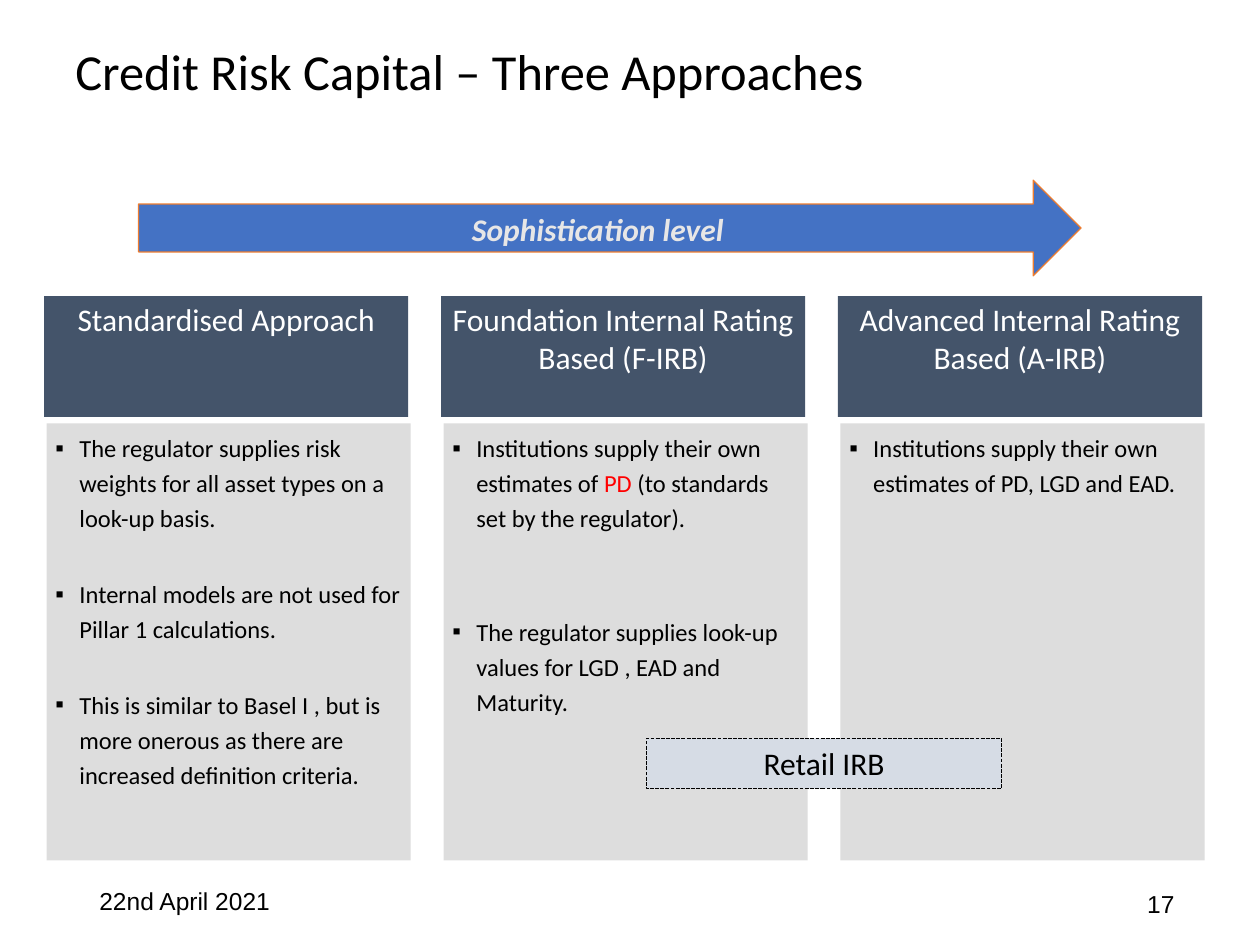
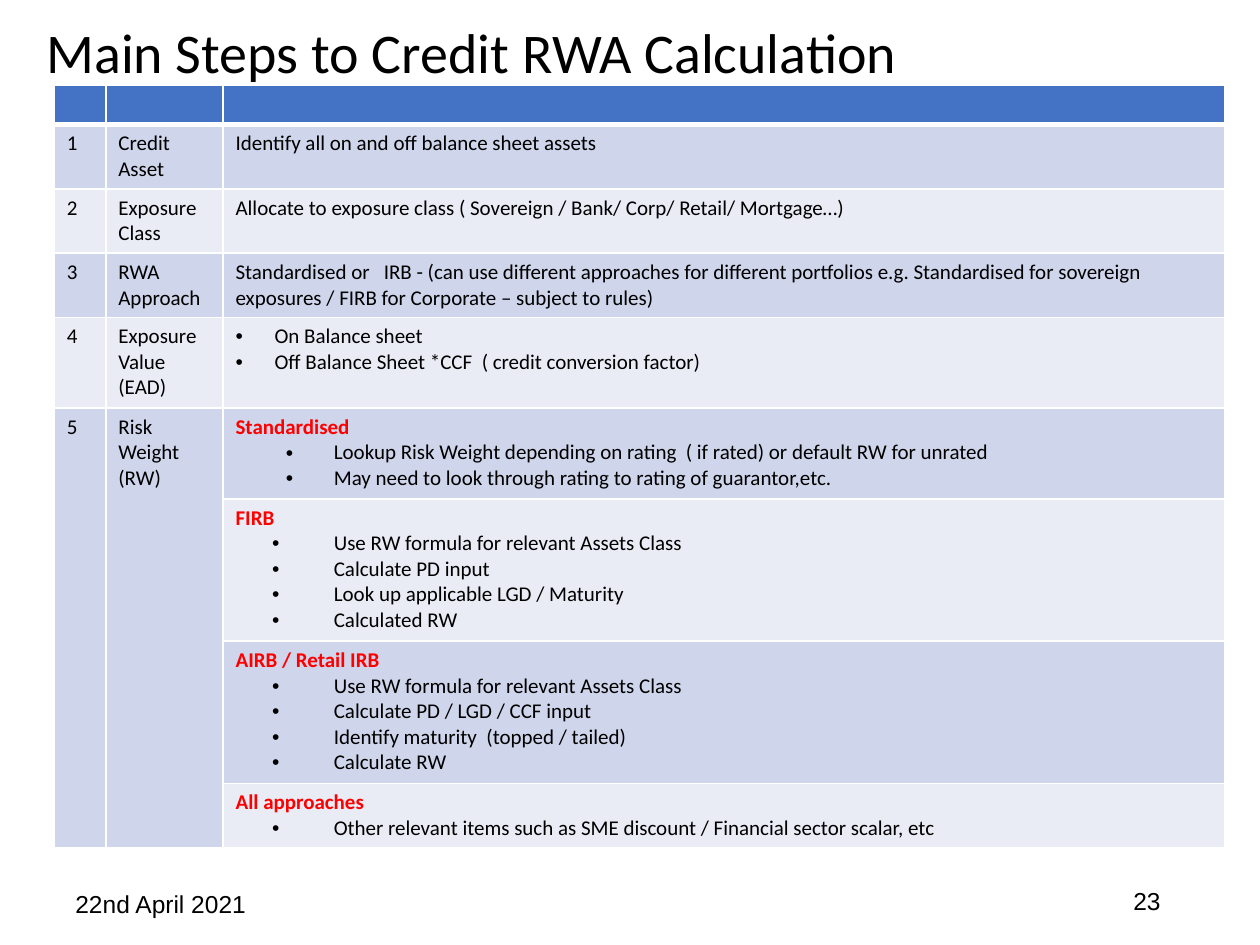
from dataclasses import dataclass

from lxml.etree import SubElement
from pptx import Presentation
from pptx.dml.color import RGBColor
from pptx.enum.dml import MSO_LINE_DASH_STYLE as Dash
from pptx.enum.shapes import MSO_SHAPE as Preset
from pptx.enum.text import MSO_ANCHOR as Anchor, PP_ALIGN as Align
from pptx.oxml.ns import qn
from pptx.util import Inches, Pt

COLORS = {
    "text": "000000", "paper": "FFFFFF", "accent": "FF0000",
    "heading": "44546A", "body": "DDDDDD",
    "arrow": "4472C4", "arrow_edge": "ED7D31", "arrow_text": "E7E6E6",
    "retail": "D6DCE5", "band_dark": "CFD5EA", "band_light": "E9EBF5",
}
TITLE_FONT, FOOTER_FONT = "Calibri", "Arial"
FOOTER_DATE = "22nd April 2021"


@dataclass(frozen=True)
class Box:
    left: float
    top: float
    width: float
    height: float

    def emu(self):
        return [Inches(v) for v in (self.left, self.top, self.width, self.height)]


@dataclass(frozen=True)
class Run:
    text: str
    color: str = ""
    bold: bool = False


@dataclass(frozen=True)
class Para:
    runs: tuple[Run, ...]
    bullet: str = ""
    indent: float = 0
    hang: float = 0
    before: float = 0


@dataclass(frozen=True)
class Approach:
    heading: str
    points: tuple[Para, ...]


@dataclass(frozen=True)
class Step:
    height: float
    number: str
    name: tuple[str, ...]
    details: tuple[Para, ...]


def plain(text: str) -> Para:
    return Para((Run(text),))


def point(*runs: Run, before: float = 0.7) -> Para:
    return Para(runs, "▪", 0.19, 0.19, before)


def method(name: str, *items: str, hang: float = 0.49) -> tuple[Para, ...]:
    """A red heading followed by indented bullets."""
    bullets = (Para((Run(item),), "•", 0.78, hang) for item in items)
    return (Para((Run(name, "accent", True),)), *bullets)


APPROACHES = (
    Approach("Standardised Approach", (
        point(Run("The regulator supplies risk weights for all asset types on a look-up basis.")),
        point(Run("Internal models are not used for Pillar 1 calculations."), before=23),
        point(Run("This is similar to Basel I , but is more onerous as there are "
                  "increased definition criteria."), before=23),
    )),
    Approach("Foundation Internal Rating Based (F-IRB)", (
        point(Run("Institutions supply their own estimates of "), Run("PD", "accent"),
              Run(" (to standards set by the regulator).")),
        point(Run("The regulator supplies look-up values for LGD , EAD and Maturity."),
              before=44.5),
    )),
    Approach("Advanced Internal Rating Based (A-IRB)", (
        point(Run("Institutions supply their own estimates of PD, LGD and EAD.")),
    )),
)

STEPS = (
    Step(0.31, "", ("",), (plain(""),)),
    Step(0.51, "1", ("Credit Asset",),
         (plain("Identify all on and off balance sheet assets"),)),
    Step(0.51, "2", ("Exposure Class",),
         (plain("Allocate to exposure class ( Sovereign / Bank/ Corp/ Retail/ Mortgage…)"),)),
    Step(0.51, "3", ("RWA Approach",),
         (plain("Standardised or   IRB - (can use different approaches for different portfolios "
                "e.g. Standardised for sovereign exposures / FIRB for Corporate – "
                "subject to rules)"),)),
    Step(0.72, "4", ("Exposure Value", "(EAD)"), tuple(
        Para((Run(item),), "•", 0.31, 0.31) for item in (
            "On Balance sheet", "Off Balance Sheet *CCF  ( credit conversion factor)"))),
    Step(0.72, "5", ("Risk Weight", "(RW)"), method(
        "Standardised",
        "Lookup Risk Weight depending on rating  ( if rated) or default RW for unrated",
        "May need to look through rating to rating of guarantor,etc.", hang=0.38)),
    Step(1.13, "", ("",), method(
        "FIRB", "Use RW formula for relevant Assets Class", "Calculate PD input",
        "Look up applicable LGD / Maturity", "Calculated RW")),
    Step(1.13, "", ("",), method(
        "AIRB / Retail IRB", "Use RW formula for relevant Assets Class",
        "Calculate PD / LGD / CCF input", "Identify maturity  (topped / tailed)",
        "Calculate RW")),
    Step(0.51, "", ("",), method(
        "All approaches",
        "Other relevant items such as SME discount / Financial sector scalar, etc")),
)
RISK_WEIGHT_ROW = 5
STEP_COLUMNS = (0.41, 0.93, 7.95)


def rgb(name: str) -> RGBColor:
    return RGBColor.from_string(COLORS[name])


def write_text(frame, paras, *, size: float, color: str = "text", font: str = TITLE_FONT,
               bold: bool = False, italic: bool = False, align=Align.LEFT,
               spacing: float = 1.0) -> None:
    frame.word_wrap = True
    for index, para in enumerate(paras):
        line = frame.paragraphs[0] if index == 0 else frame.add_paragraph()
        line.alignment, line.line_spacing = align, spacing
        line.space_before = Pt(para.before)
        for part in para.runs:
            if not part.text:
                SubElement(line._p, qn("a:endParaRPr"), sz=str(int(size * 100)))
                continue
            run = line.add_run()
            run.text = part.text
            run.font.name, run.font.size = font, Pt(size)
            run.font.bold, run.font.italic = bold or part.bold, italic
            run.font.color.rgb = rgb(part.color or color)
        if para.bullet:
            props = line._p.get_or_add_pPr()
            props.set("marL", str(Inches(para.indent)))
            props.set("indent", str(-Inches(para.hang)))
            SubElement(props, qn("a:buFont"), typeface=FOOTER_FONT)
            SubElement(props, qn("a:buChar"), char=para.bullet)


def add_label(slide, box: Box, text: str, **style) -> None:
    frame = slide.shapes.add_textbox(*box.emu()).text_frame
    frame.vertical_anchor = Anchor.MIDDLE
    write_text(frame, [plain(text)], **style)


def add_panel(slide, box: Box, fill: str, paras, *, preset=Preset.RECTANGLE, edge: str = "",
              margins: tuple[float, float] = (0.07, 0.03), **style):
    panel = slide.shapes.add_shape(preset, *box.emu())
    panel.shadow.inherit = False
    panel.fill.solid()
    panel.fill.fore_color.rgb = rgb(fill)
    if edge:
        panel.line.color.rgb = rgb(edge)
        panel.line.width = Pt(0.75)
    else:
        panel.line.fill.background()
    frame = panel.text_frame
    frame.vertical_anchor = Anchor.TOP
    frame.margin_left = frame.margin_right = Inches(margins[0])
    frame.margin_top = frame.margin_bottom = Inches(margins[1])
    write_text(frame, paras, **style)
    return panel


def add_frame_slide(deck, title: str, title_box: Box, title_size: float,
                    date_box: Box, number: str, number_box: Box):
    """Add a blank slide with the shared title and footer."""
    slide = deck.slides.add_slide(deck.slide_layouts[6])
    add_label(slide, title_box, title, size=title_size, spacing=0.9)
    add_label(slide, date_box, FOOTER_DATE, size=14, font=FOOTER_FONT)
    add_label(slide, number_box, number, size=14, font=FOOTER_FONT, align=Align.RIGHT)
    return slide


def set_borders(cell, bottom: float) -> None:
    props = cell._tc.get_or_add_tcPr()
    for side, width in (("L", 1), ("R", 1), ("T", 1), ("B", bottom)):
        edge = SubElement(props, qn(f"a:ln{side}"), w=str(Pt(width)))
        fill = SubElement(edge, qn("a:solidFill"))
        SubElement(fill, qn("a:srgbClr"), val=COLORS["paper"])


def build_approaches(deck) -> None:
    slide = add_frame_slide(deck, "Credit Risk Capital – Three Approaches",
                            Box(0.5, 0.3, 9, 0.57), 28.8, Box(0.69, 6.95, 2.25, 0.4),
                            "17", Box(7.75, 7.0, 1.67, 0.34))
    pitch, width = 3.15, 2.89
    for index, approach in enumerate(APPROACHES):
        shift = index * pitch
        add_panel(slide, Box(0.37 + shift, 3.36, width, 3.47), "body", approach.points,
                  size=14, spacing=1.2)
        add_panel(slide, Box(0.35 + shift, 2.35, width, 0.96), "heading",
                  [plain(approach.heading)], size=18, color="paper", align=Align.CENTER)
    add_panel(slide, Box(1.1, 1.43, 7.48, 0.76), "arrow", [plain("Sophistication level")],
              preset=Preset.RIGHT_ARROW, edge="arrow_edge", margins=(0.1, 0.05), size=18,
              color="arrow_text", bold=True, italic=True, align=Align.CENTER)
    retail = add_panel(slide, Box(5.13, 5.86, 2.82, 0.4), "retail", [plain("Retail IRB")],
                       edge="text", margins=(0.1, 0.05), size=18, align=Align.CENTER)
    retail.line.dash_style = Dash.SQUARE_DOT


def build_steps(deck) -> None:
    slide = add_frame_slide(deck, "Main Steps to Credit RWA Calculation",
                            Box(0.27, 0.13, 9.37, 0.62), 32, Box(0.5, 7, 2.33, 0.35),
                            "23", Box(7.06, 6.95, 2.25, 0.4))
    box = Box(0.43, 0.68, sum(STEP_COLUMNS), sum(step.height for step in STEPS))
    table = slide.shapes.add_table(len(STEPS), len(STEP_COLUMNS), *box.emu()).table
    table.first_row = table.horz_banding = False
    for column, width in zip(table.columns, STEP_COLUMNS):
        column.width = Inches(width)
    for row, step in enumerate(STEPS):
        table.rows[row].height = Inches(step.height)
        band = "arrow" if row == 0 else "band_dark" if row % 2 else "band_light"
        contents = ([plain(step.number)], [plain(part) for part in step.name], step.details)
        for column, paras in enumerate(contents):
            cell = table.cell(row, column)
            write_text(cell.text_frame, paras, size=12)
            set_borders(cell, 3 if row == 0 else 1)
            cell.fill.solid()
            cell.fill.fore_color.rgb = rgb(band)
    for column in (0, 1):
        table.cell(RISK_WEIGHT_ROW, column).merge(table.cell(len(STEPS) - 1, column))


def main() -> None:
    deck = Presentation()
    deck.slide_width, deck.slide_height = Inches(10), Inches(7.5)
    build_approaches(deck)
    build_steps(deck)
    deck.save("out.pptx")


if __name__ == "__main__":
    main()
